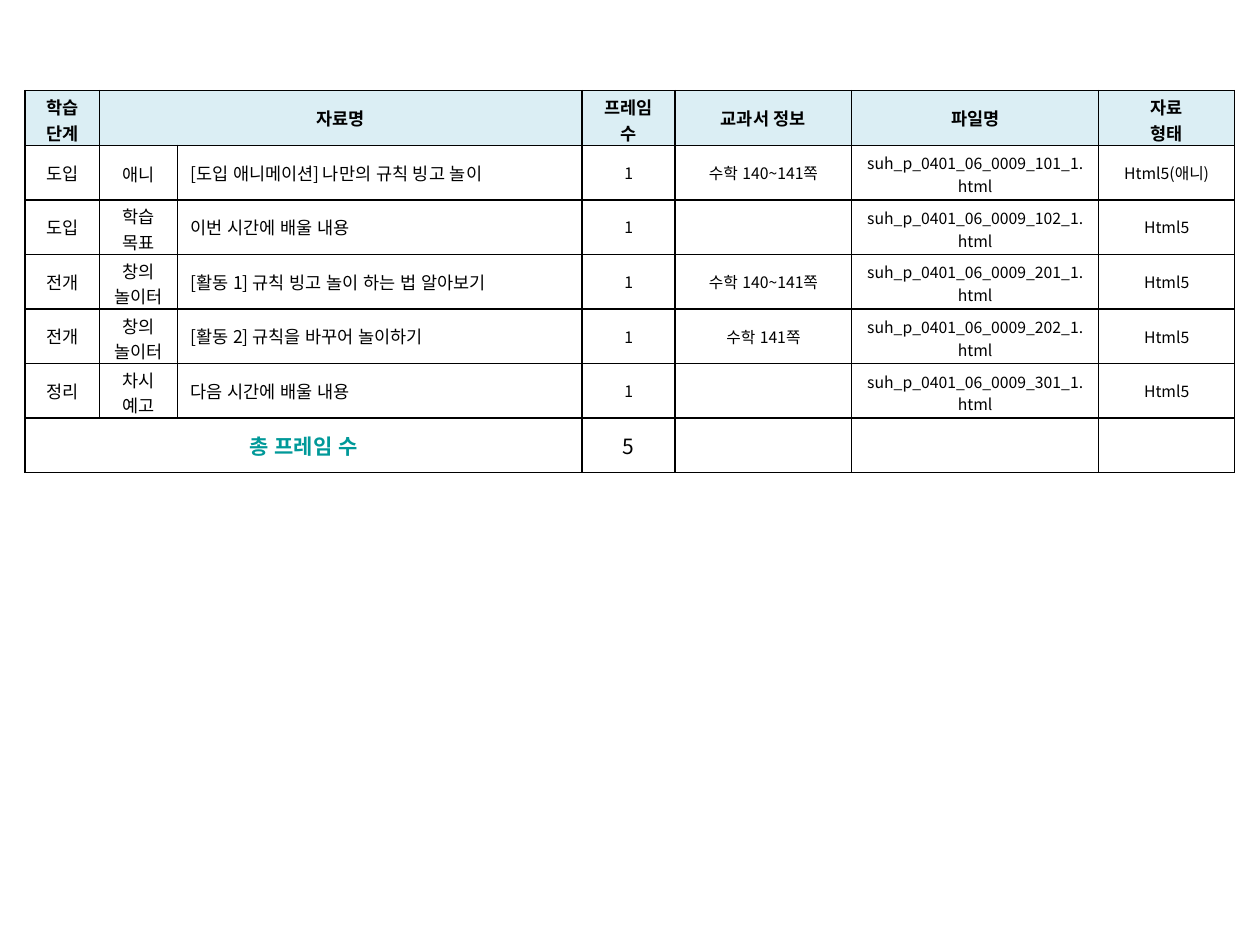
from pptx import Presentation
from pptx.dml.color import RGBColor
from pptx.enum.lang import MSO_LANGUAGE_ID
from pptx.enum.text import MSO_ANCHOR, PP_ALIGN
from pptx.oxml.ns import qn
from pptx.util import Inches, Pt
from lxml import etree

MIDDLE = MSO_ANCHOR.MIDDLE
LEFT, CENTER = PP_ALIGN.LEFT, PP_ALIGN.CENTER
KOREAN = MSO_LANGUAGE_ID.KOREAN
FONT = "Noto Sans CJK KR"
HUES = {"ink": "000000", "head": "DBEEF4", "total": "009999"}
WIDTHS = [0.59, 0.62, 3.21, 0.74, 1.4, 1.96, 1.08]
SIZES = [10, 10, 10, 9, 9, 9, 9]
EVEN, TIGHT, SNUG = (0.05, 0.05), (0.03, 0), (0.05, 0.02)
HEAD = ["학습 단계", "자료명", "", "프레임 수", "교과서 정보", "파일명", "자료\n형태"]
HEAD_PADS = [TIGHT, EVEN, EVEN, TIGHT, EVEN, EVEN, TIGHT]
PADS = [EVEN, TIGHT, EVEN, EVEN, EVEN, SNUG, EVEN]
LESSONS = [
    ["도입", "애니", "[도입 애니메이션] 나만의 규칙 빙고 놀이", "수학 140~141쪽", "101", "Html5(애니)"],
    ["도입", "학습 목표", "이번 시간에 배울 내용", "", "102", "Html5"],
    ["전개", "창의\n놀이터", "[활동 1] 규칙 빙고 놀이 하는 법 알아보기", "수학 140~141쪽", "201", "Html5"],
    ["전개", "창의\n놀이터", "[활동 2] 규칙을 바꾸어 놀이하기", "수학 141쪽", "202", "Html5"],
    ["정리", "차시 예고", "다음 시간에 배울 내용", "", "301", "Html5"],
]
TOTAL = ["총 프레임 수", "", "", str(len(LESSONS)), "", "", ""]


class Deck:
    """Holds the slide and the table style."""

    def __init__(self):
        self.file = Presentation()
        self.file.slide_width, self.file.slide_height = Inches(10), Inches(7.5)
        self.slide = self.file.slides.add_slide(self.file.slide_layouts[6])

    def table(self, left, top, height, widths, count):
        frame = self.slide.shapes.add_table(
            count, len(widths), Inches(left), Inches(top),
            Inches(sum(widths)), Inches(height))
        grid = frame.table
        for col, width in zip(grid.columns, widths):
            col.width = Inches(width)
        for row in grid.rows:
            row.height = Inches(height / count)
        return grid

    def cell(self, cell, text, size, pad=EVEN, bold=False, hue="ink", fill=None,
             align=CENTER):
        cell.text = text
        cell.vertical_anchor = MIDDLE
        cell.margin_top, cell.margin_bottom = map(Inches, pad)
        for para in cell.text_frame.paragraphs:
            para.alignment = align
            font = para.font
            font.name, font.size, font.bold = FONT, Pt(size), bold
            font.language_id = KOREAN
            font.color.rgb = RGBColor.from_string(HUES[hue])
            props = para._p.pPr.find(qn("a:defRPr"))
            props.set("kern", "0")
            etree.SubElement(props, qn("a:ea"), typeface=FONT)
        self.border(cell)
        if fill:
            cell.fill.solid()
            cell.fill.fore_color.rgb = RGBColor.from_string(HUES[fill])
        else:
            cell.fill.background()

    def border(self, cell):
        props = cell._tc.get_or_add_tcPr()
        for side in ("lnL", "lnR", "lnT", "lnB"):
            line = etree.SubElement(props, qn(f"a:{side}"), w=str(Pt(1)))
            paint = etree.SubElement(line, qn("a:solidFill"))
            etree.SubElement(paint, qn("a:srgbClr"), val=HUES["ink"])


def main():
    deck = Deck()
    grid = deck.table(0.2, 0.72, 3.03, WIDTHS, len(LESSONS) + 2)
    last = len(LESSONS) + 1
    for col, (text, pad) in enumerate(zip(HEAD, HEAD_PADS)):
        deck.cell(grid.cell(0, col), text, 10, pad, bold=True, fill="head")
    for row, (step, kind, title, pages, code, form) in enumerate(LESSONS, 1):
        name = f"suh_p_0401_06_0009_{code}_1.html"
        texts = [step, kind, title, "1", pages, name, form]
        for col, (text, size, pad) in enumerate(zip(texts, SIZES, PADS)):
            align = LEFT if text == title else CENTER
            deck.cell(grid.cell(row, col), text, size, pad, align=align)
    for col, text in enumerate(TOTAL):
        first = col == 0
        deck.cell(grid.cell(last, col), text, 12, bold=first,
                  hue="total" if first else "ink")
    grid.cell(0, 1).merge(grid.cell(0, 2))
    grid.cell(last, 0).merge(grid.cell(last, 2))
    deck.file.save("out.pptx")


if __name__ == "__main__":
    main()
